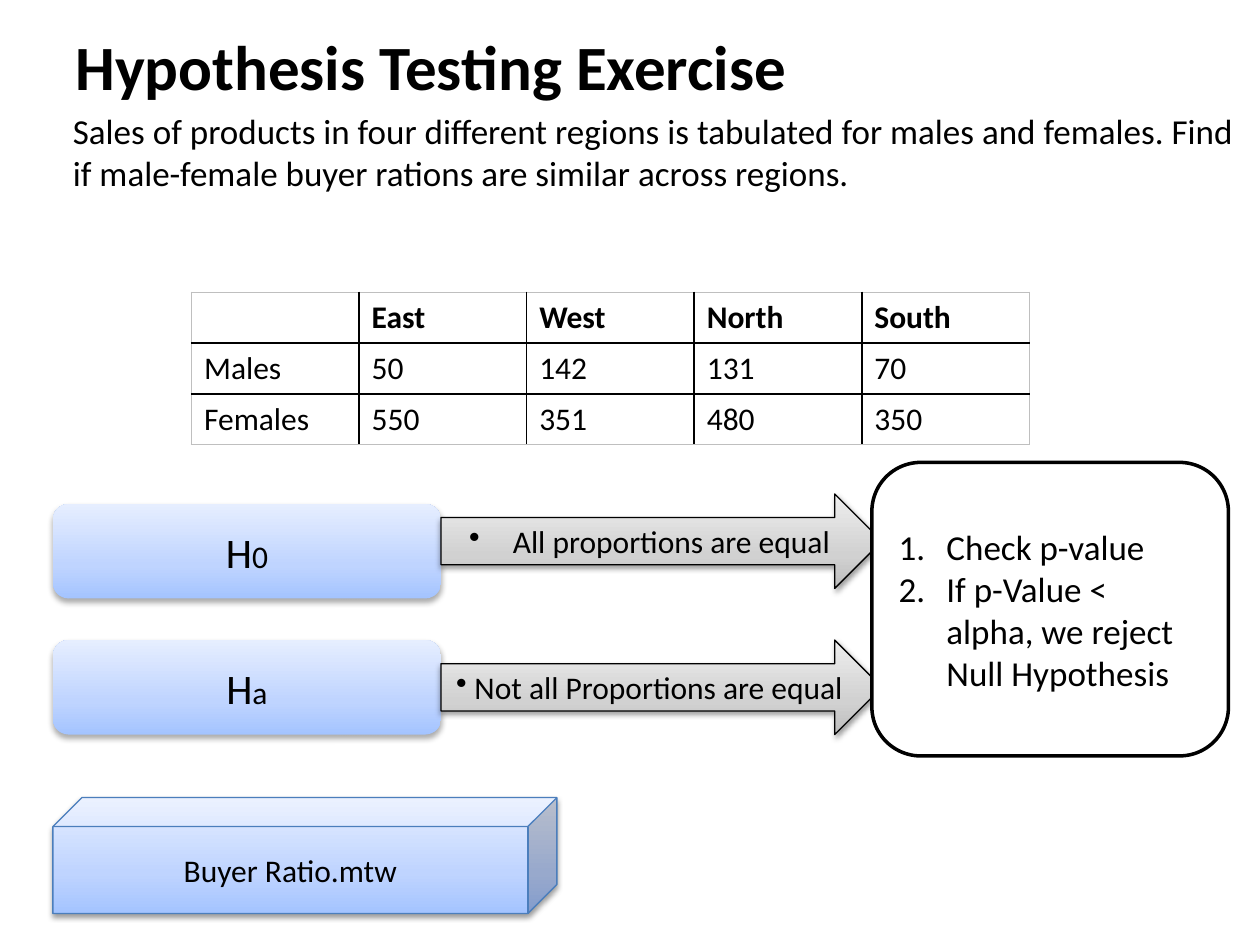
import copy

import pptx
import pptx.dml.color
import pptx.enum.shapes
import pptx.enum.text
import pptx.oxml
import pptx.oxml.ns
import pptx.util

Inches, Pt = pptx.util.Inches, pptx.util.Pt
SHAPE = pptx.enum.shapes.MSO_SHAPE
ALIGN = pptx.enum.text.PP_ALIGN
ANCHOR = pptx.enum.text.MSO_ANCHOR
qn = pptx.oxml.ns.qn
NS = 'xmlns:a="http://schemas.openxmlformats.org/drawingml/2006/main"'

COLORS = {"text": "000000", "paper": "FFFFFF", "line": "000000",
          "table_edge": "BFBFBF", "cube_line": "4B7EBC"}
GRADIENTS = {"blue": ("A4C4FF", "BFD4FF", "E6EEFF"),
             "gray": ("BDBDBD", "D1D1D1", "EEEEEE")}
STOPS = (0, 0.35, 1)
# opacity %, blur pt, distance pt
SOFT_SHADOW, CLOSE_SHADOW = (32, 3.5, 2.2), (38, 3.1, 1.6)


def rgb(name):
    return pptx.dml.color.RGBColor.from_string(name)


def write(frame, paragraphs, size=18, bold=False, align=ALIGN.LEFT,
          anchor=ANCHOR.MIDDLE, bullet=None, indent=0.0):
    """Each paragraph is a string or a list of (text, size) runs."""
    frame.word_wrap = True
    frame.vertical_anchor = anchor
    for i, content in enumerate(paragraphs):
        paragraph = frame.paragraphs[0] if i == 0 else frame.add_paragraph()
        paragraph.alignment = align
        runs = [(content, size)] if isinstance(content, str) else content
        for text, run_size in runs:
            run = paragraph.add_run()
            run.text = text
            run.font.name, run.font.size, run.font.bold = "Calibri", Pt(run_size), bold
            run.font.color.rgb = rgb(COLORS["text"])
        if bullet:
            props = paragraph._p.get_or_add_pPr()
            props.set("marL", str(Inches(indent)))
            props.set("indent", str(-Inches(indent)))
            props.append(pptx.oxml.parse_xml(bullet))


DOT = f'<a:buChar {NS} char="•"/>'
NUMBER = f'<a:buAutoNum {NS} type="arabicPeriod"/>'


def add_text(slide, box, paragraphs, **style):
    frame = slide.shapes.add_textbox(*map(Inches, box)).text_frame
    write(frame, paragraphs, **style)


def add_block(slide, kind, box, paragraphs, gradient=None, line=None,
              width=0.75, shadow=None, **style):
    block = slide.shapes.add_shape(kind, *map(Inches, box))
    if gradient:
        block.fill.gradient()
        block.fill.gradient_angle = 90
        stops = block._element.spPr.find(".//" + qn("a:gsLst"))
        stops.append(copy.deepcopy(stops[-1]))
        for stop, position, color in zip(block.fill.gradient_stops, STOPS, GRADIENTS[gradient]):
            stop.position, stop.color.rgb = position, rgb(color)
    else:
        block.fill.solid()
        block.fill.fore_color.rgb = rgb(COLORS["paper"])
    if line:
        block.line.color.rgb = rgb(COLORS[line])
        block.line.width = Pt(width)
    else:
        block.line.fill.background()
    block.shadow.inherit = False
    if shadow:
        opacity, blur, distance = shadow
        effects = block._element.spPr.find(qn("a:effectLst"))
        effects.append(pptx.oxml.parse_xml(
            f'<a:outerShdw {NS} blurRad="{Pt(blur)}" dist="{Pt(distance)}" dir="5400000" '
            f'rotWithShape="0"><a:srgbClr val="000000"><a:alpha val="{opacity * 1000}"/>'
            '</a:srgbClr></a:outerShdw>'))
    write(block.text_frame, paragraphs, **style)


def set_border(cell, side, color):
    cell._tc.get_or_add_tcPr().append(pptx.oxml.parse_xml(
        f'<a:{side} {NS} w="{Pt(1)}"><a:solidFill><a:srgbClr val="{color}"/>'
        f'</a:solidFill></a:{side}>'))


def add_sales_table(slide, box, rows):
    left, top, width, height = map(Inches, box)
    n_rows, n_cols = len(rows), len(rows[0])
    table = slide.shapes.add_table(n_rows, n_cols, left, top, width, height).table
    for r, row in enumerate(rows):
        for c, value in enumerate(row):
            cell = table.cell(r, c)
            edges = {"lnL": c == 0, "lnR": c == n_cols - 1,
                     "lnT": r == 0, "lnB": r == n_rows - 1}
            for side, outer in edges.items():
                set_border(cell, side, COLORS["table_edge" if outer else "line"])
            cell.fill.background()
            write(cell.text_frame, [value], bold=r == 0, anchor=None)


def add_hypothesis(slide, box, arrow_top, symbol, claim, indent):
    left, top, width, height = box
    add_block(slide, SHAPE.ROUNDED_RECTANGLE, box, [[("H", 24), (symbol, 18)]],
              gradient="blue", shadow=SOFT_SHADOW, align=ALIGN.CENTER)
    add_block(slide, SHAPE.RIGHT_ARROW, (left + width, arrow_top, 3.5, height), [claim],
              gradient="gray", line="line", shadow=CLOSE_SHADOW,
              align=ALIGN.CENTER, bullet=DOT, indent=indent)


def main():
    deck = pptx.Presentation()
    deck.slide_width, deck.slide_height = Inches(10), Inches(7.5)
    slide = deck.slides.add_slide(deck.slide_layouts[6])

    # Title and task
    add_text(slide, (0.5, 0.13, 9, 0.78), ["Hypothesis Testing Exercise"], size=36, bold=True)
    add_text(slide, (0.48, 0.82, 9.41, 0.8),
             ["Sales of products in four different regions is tabulated for males and "
              "females. Find if male-female buyer rations are similar across regions."],
             size=20, anchor=ANCHOR.TOP)

    # Sales by region
    add_sales_table(slide, (1.52, 2.32, 6.65, 1.21), [
        ["", "East", "West", "North", "South"],
        ["Males", "50", "142", "131", "70"],
        ["Females", "550", "351", "480", "350"]])

    # Hypotheses
    add_hypothesis(slide, (0.42, 4, 3.08, 0.75), 3.92, "0", " All proportions are equal", 0.29)
    add_hypothesis(slide, (0.42, 5.08, 3.08, 0.75), 5.08, "a",
                   " Not all Proportions are equal", 0)

    # Decision rule
    add_block(slide, SHAPE.ROUNDED_RECTANGLE, (6.92, 3.67, 2.83, 2.33),
              ["Check p-value", "If p-Value < alpha, we reject Null Hypothesis"],
              line="line", width=2, size=20, bullet=NUMBER, indent=0.38)

    # Data file
    add_block(slide, SHAPE.CUBE, (0.42, 6.33, 4, 0.92), ["Buyer Ratio.mtw"],
              gradient="blue", line="cube_line", shadow=CLOSE_SHADOW, align=ALIGN.CENTER)

    deck.save("out.pptx")


if __name__ == "__main__":
    main()
